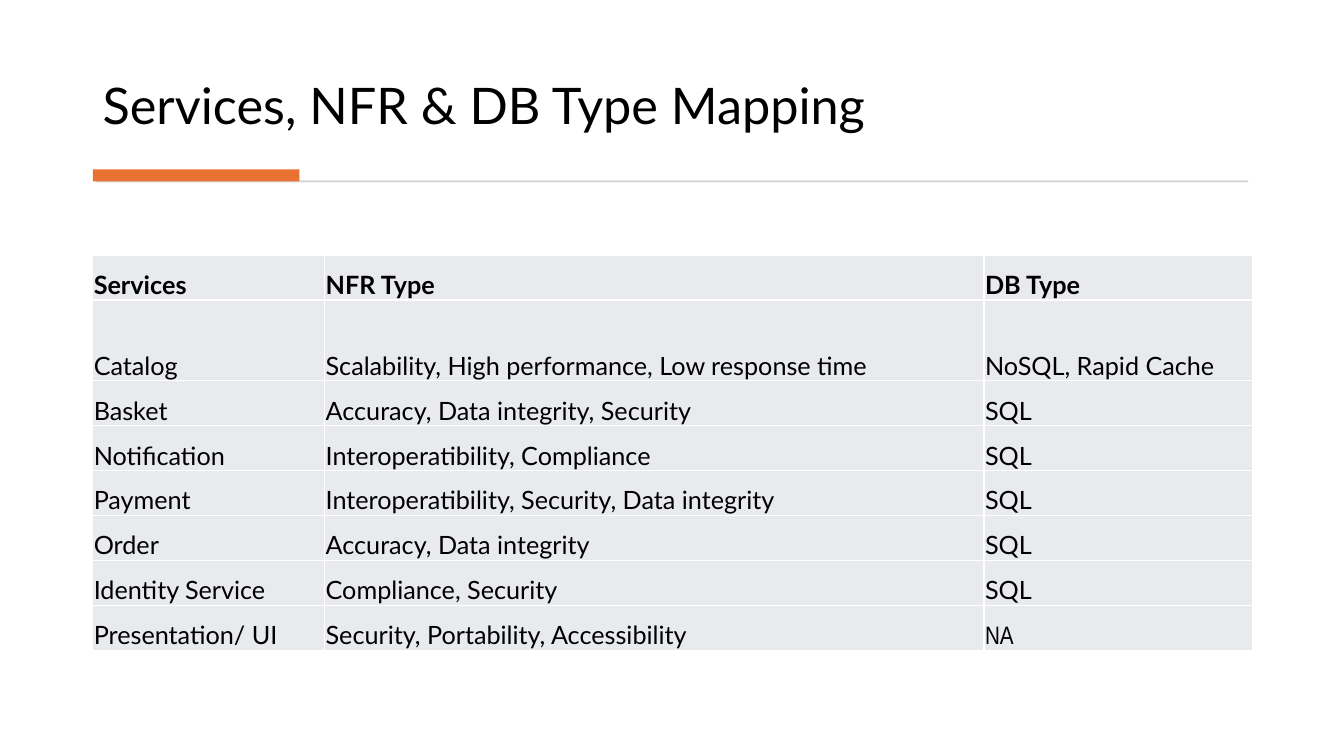
from dataclasses import dataclass

from lxml.etree import SubElement
from pptx import Presentation
from pptx.dml.color import RGBColor
from pptx.enum.shapes import MSO_SHAPE as Preset
from pptx.enum.text import MSO_ANCHOR as Anchor
from pptx.oxml.ns import qn
from pptx.slide import Slide
from pptx.table import _Cell as Cell
from pptx.text.text import _Paragraph as Paragraph
from pptx.util import Inches, Pt


@dataclass(frozen=True)
class Theme:
    text: str = "000000"
    accent: str = "E97132"
    rule: str = "D5D5D5"
    cell: str = "E8EAED"
    border: str = "FFFFFF"
    font: str = "Lato"
    narrow_font: str = "Arial Narrow"
    title_size: int = 36
    table_size: int = 18
    border_width: int = 1


@dataclass(frozen=True)
class Bar:
    left: float
    top: float
    width: float
    height: float
    color: str


@dataclass(frozen=True)
class Service:
    name: str
    requirements: str
    database: str
    bold: bool = False
    database_font: str = Theme.font


THEME = Theme()
TITLE = "Services, NFR & DB Type Mapping"
BARS = [
    Bar(0.95, 1.79, 11.43, 0.02, THEME.rule),
    Bar(0.92, 1.68, 2.05, 0.12, THEME.accent),
]
SERVICES = [
    Service("Services", "NFR Type", "DB Type", bold=True),
    Service("Catalog", "Scalability, High performance, Low response time", "NoSQL, Rapid Cache"),
    Service("Basket", "Accuracy, Data integrity, Security", "SQL"),
    Service("Notification", "Interoperatibility, Compliance", "SQL"),
    Service("Payment", "Interoperatibility, Security, Data integrity", "SQL"),
    Service("Order", "Accuracy, Data integrity", "SQL"),
    Service("Identity Service", "Compliance, Security", "SQL"),
    Service("Presentation/ UI", "Security, Portability, Accessibility", "NA",
            database_font=THEME.narrow_font),
]
COLUMN_WIDTHS = [2.3, 6.54, 2.66]
TABLE_HEIGHT = 3.92
CATALOG_ROW = 1
CATALOG_HEIGHT = 0.8
ROW_HEIGHT = (TABLE_HEIGHT - CATALOG_HEIGHT) / (len(SERVICES) - 1)


def format_runs(paragraph: Paragraph, size: int, font: str, bold: bool = False) -> None:
    for run in paragraph.runs:
        run.font.size = Pt(size)
        run.font.name = font
        run.font.bold = bold
        run.font.color.rgb = RGBColor.from_string(THEME.text)


def add_title(slide: Slide) -> None:
    shape = slide.shapes.add_textbox(Inches(0.92), Inches(0.28), Inches(11.49), Inches(1.11))
    text_frame = shape.text_frame
    text_frame.word_wrap = True
    text_frame.vertical_anchor = Anchor.BOTTOM
    text_frame.text = TITLE
    paragraph = text_frame.paragraphs[0]
    paragraph.line_spacing = 0.9
    format_runs(paragraph, THEME.title_size, THEME.font)


def add_bar(slide: Slide, bar: Bar) -> None:
    shape = slide.shapes.add_shape(
        Preset.RECTANGLE, Inches(bar.left), Inches(bar.top), Inches(bar.width), Inches(bar.height)
    )
    shape.shadow.inherit = False
    shape.fill.solid()
    shape.fill.fore_color.rgb = RGBColor.from_string(bar.color)
    shape.line.fill.background()


def add_borders(cell: Cell) -> None:
    properties = cell._tc.get_or_add_tcPr()
    for side in ("a:lnL", "a:lnR", "a:lnT", "a:lnB"):
        line = SubElement(properties, qn(side), w=str(Pt(THEME.border_width)))
        fill = SubElement(line, qn("a:solidFill"))
        SubElement(fill, qn("a:srgbClr"), val=THEME.border)


def fill_cell(cell: Cell, text: str, font: str, bold: bool) -> None:
    add_borders(cell)
    cell.fill.solid()
    cell.fill.fore_color.rgb = RGBColor.from_string(THEME.cell)
    cell.vertical_anchor = Anchor.BOTTOM
    cell.margin_left = cell.margin_right = cell.margin_top = Inches(0.01)
    cell.margin_bottom = 0
    cell.text_frame.text = text
    format_runs(cell.text_frame.paragraphs[0], THEME.table_size, font, bold)


def add_service_table(slide: Slide) -> None:
    table = slide.shapes.add_table(
        len(SERVICES), len(COLUMN_WIDTHS),
        Inches(0.92), Inches(2.53), Inches(sum(COLUMN_WIDTHS)), Inches(TABLE_HEIGHT),
    ).table
    for column, width in zip(table.columns, COLUMN_WIDTHS):
        column.width = Inches(width)
    for index, (row, service) in enumerate(zip(table.rows, SERVICES)):
        row.height = Inches(CATALOG_HEIGHT if index == CATALOG_ROW else ROW_HEIGHT)
        texts = (service.name, service.requirements, service.database)
        fonts = (THEME.font, THEME.font, service.database_font)
        for cell, text, font in zip(row.cells, texts, fonts):
            fill_cell(cell, text, font, service.bold)


def main() -> None:
    presentation = Presentation()
    presentation.slide_width = Inches(13.33)
    presentation.slide_height = Inches(7.5)
    slide = presentation.slides.add_slide(presentation.slide_layouts[6])
    add_title(slide)
    for bar in BARS:
        add_bar(slide, bar)
    add_service_table(slide)
    presentation.save("out.pptx")


if __name__ == "__main__":
    main()
